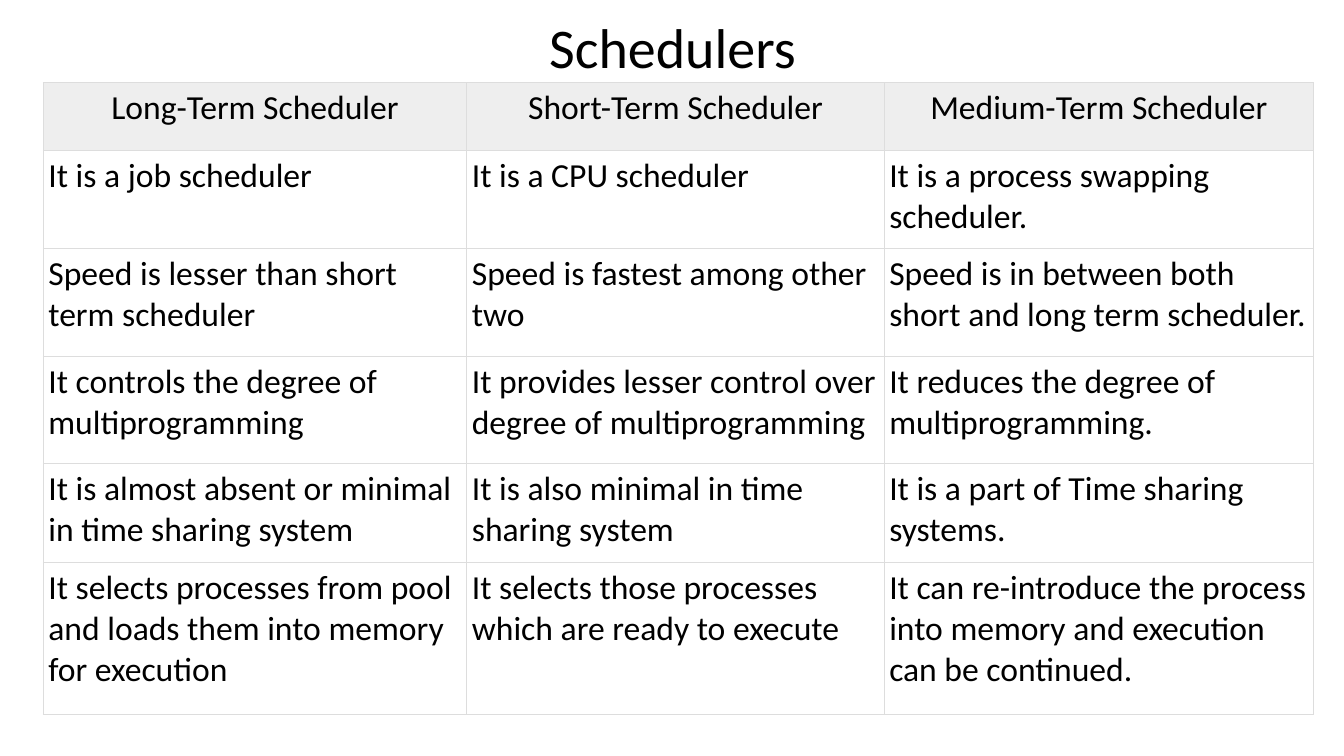
import pptx
import pptx.util
import pptx.oxml
import pptx.dml.color
import pptx.enum.text
from pptx.util import Inches, Pt
from pptx.dml.color import RGBColor
from pptx.enum.text import PP_ALIGN, MSO_ANCHOR, MSO_AUTO_SIZE

BLACK = RGBColor(0, 0, 0)
HEAD = RGBColor(0xEE, 0xEE, 0xEE)
RULE = RGBColor(0xDD, 0xDD, 0xDD)
FONT = "Calibri"

TITLE = "Schedulers"
ROWS = [
    ("Long-Term Scheduler", "Short-Term Scheduler", "Medium-Term Scheduler"),
    ("It is a job scheduler", "It is a CPU scheduler",
     "It is a process swapping scheduler."),
    ("Speed is lesser than short term scheduler",
     "Speed is fastest among other two",
     "Speed is in between both short and long term scheduler."),
    ("It controls the degree of multiprogramming",
     "It provides lesser control over degree of multiprogramming",
     "It reduces the degree of multiprogramming."),
    ("It is almost absent or minimal in time sharing system",
     "It is also minimal in time sharing system",
     "It is a part of Time sharing systems."),
    ("It selects processes from pool and loads them into memory for execution",
     "It selects those processes which are ready to execute",
     "It can re-introduce the process into memory and execution can be continued."),
]
WIDTHS = [4.2, 4.14, 4.26]
HEIGHTS = [0.67, 0.98, 1.07, 1.06, 0.98, 1.51]


def style(para, size, align):
    para.alignment = align
    for run in para.runs:
        run.font.name = FONT
        run.font.size = Pt(size)
        run.font.bold = False
        run.font.color.rgb = BLACK


def border(cell):
    props = cell._tc.get_or_add_tcPr()
    for spot, side in enumerate(("lnL", "lnR", "lnT", "lnB")):
        line = pptx.oxml.parse_xml(
            f'<a:{side} xmlns:a="http://schemas.openxmlformats.org/drawingml/2006/main" '
            f'w="{Pt(0.75)}"><a:solidFill><a:srgbClr val="{RULE}"/></a:solidFill></a:{side}>')
        props.insert(spot, line)


deck = pptx.Presentation()
deck.slide_width, deck.slide_height = Inches(13.33), Inches(7.5)
slide = deck.slides.add_slide(deck.slide_layouts[5])

title = slide.shapes.title
title.left, title.top = Inches(0.92), Inches(0.13)
title.width, title.height = Inches(11.5), Inches(0.73)
frame = title.text_frame
frame.text = TITLE
frame.auto_size = MSO_AUTO_SIZE.NONE
frame.vertical_anchor = MSO_ANCHOR.MIDDLE
frame.paragraphs[0].line_spacing = 0.9
style(frame.paragraphs[0], 40, PP_ALIGN.CENTER)

table = slide.shapes.add_table(
    len(ROWS), len(WIDTHS), Inches(0.43), Inches(0.82),
    Inches(sum(WIDTHS)), Inches(sum(HEIGHTS))).table
table.horz_banding = False
table.first_row = True
for col, width in zip(table.columns, WIDTHS):
    col.width = Inches(width)
for row, height in zip(table.rows, HEIGHTS):
    row.height = Inches(height)

for r, texts in enumerate(ROWS):
    for c, text in enumerate(texts):
        cell = table.cell(r, c)
        cell.text_frame.text = text
        cell.margin_left = cell.margin_right = Inches(0.05)
        cell.margin_top = cell.margin_bottom = Inches(0.05)
        style(cell.text_frame.paragraphs[0], 24,
              PP_ALIGN.LEFT if r else PP_ALIGN.CENTER)
        if r:
            cell.fill.background()
        else:
            cell.fill.solid()
            cell.fill.fore_color.rgb = HEAD
        border(cell)

deck.save("out.pptx")
